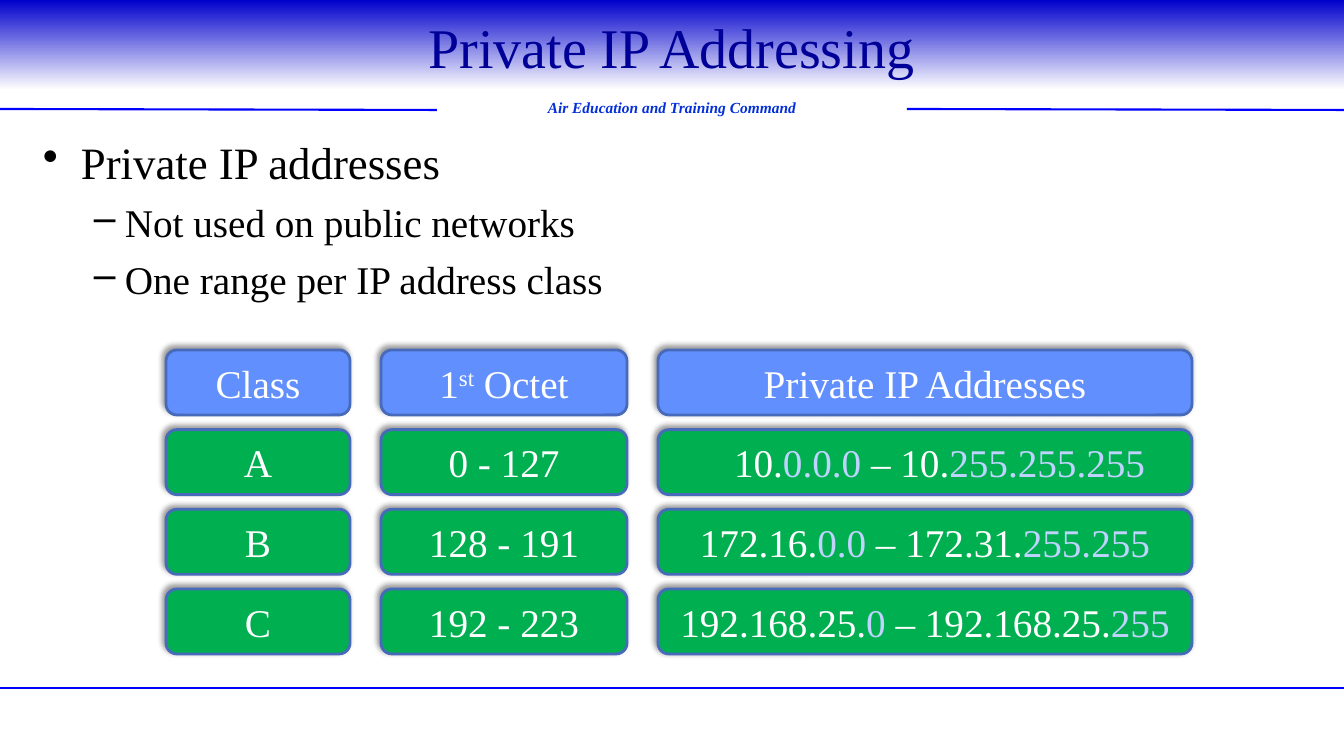
from lxml import etree
from pptx import Presentation
from pptx.dml.color import RGBColor
from pptx.enum.shapes import MSO_CONNECTOR, MSO_SHAPE
from pptx.enum.text import MSO_ANCHOR, PP_ALIGN
from pptx.oxml.ns import qn
from pptx.util import Emu, Pt

RECT, ROUND = MSO_SHAPE.RECTANGLE, MSO_SHAPE.ROUNDED_RECTANGLE
LINE, CENTER, MIDDLE = MSO_CONNECTOR.STRAIGHT, PP_ALIGN.CENTER, MSO_ANCHOR.MIDDLE
FACE = "Times New Roman"
WHITE, PALE, BLUE, GREEN = "FFFFFF", "C0D2FE", "618FFD", "00B050"

TITLE = "Private IP Addressing"
MOTTO = "Air Education and Training Command"
POINTS = [
    (0, "Private IP addresses"),
    (1, "Not used on public networks"),
    (1, "One range per IP address class"),
]
# mark, text size, left margin px, hanging indent px
LEVELS = [("•", 32, 38, 38), ("–", 28, 82, 31)]
# Every second run is raised in the head row and pale in the rows below
HEAD = [["Class"], ["1", "st", " Octet"], ["Private IP Addresses"]]
ROWS = [
    [["A"], ["0 - 127"], ["10.", "0.0.0", " – 10.", "255.255.255"]],
    [["B"], ["128 - 191"], ["172.16.", "0.0", " – 172.31.", "255.255"]],
    [["C"], ["192 - 223"], ["192.168.25.", "0", " – 192.168.25.", "255"]],
]
# x1, y1, x2, y2, width in points
RULES = [(0, 688, 1344, 688, 2), (0, 109, 437, 110, 1.5), (907, 109, 1344, 110, 1.5)]
LEFT, TOP, LAST = 166, 350, 589
WIDTHS, TALL, GAP = [184, 246, 534], 65, 31
SHIFT = 29  # extra left inset of the class A range


def px(n):
    return Emu(round(n * 914400 / 100.8))


def rgb(code):
    return RGBColor.from_string(code)


def style(para, size, color):
    para.font.name = FACE
    para.font.size = Pt(size)
    para.font.color.rgb = rgb(color)


def add_rule(x1, y1, x2, y2, width):
    rule = slide.shapes.add_connector(LINE, px(x1), px(y1), px(x2), px(y2))
    rule.line.color.rgb = rgb("0000FF")
    rule.line.width = Pt(width)
    etree.SubElement(rule._element.spPr, qn("a:effectLst"))


def add_shadow(shape):
    shape.shadow.inherit = False
    effects = shape._element.spPr.find(qn("a:effectLst"))
    outer = etree.SubElement(effects, qn("a:outerShdw"), blurRad="50800",
                             dist="38100", dir="13500000", algn="br", rotWithShape="0")
    black = etree.SubElement(outer, qn("a:srgbClr"), val="000000")
    etree.SubElement(black, qn("a:alpha"), val="40000")


def add_cell(x, y, width, runs, head):
    cell = slide.shapes.add_shape(ROUND, px(x), px(y), px(width), px(TALL))
    cell.fill.solid()
    cell.fill.fore_color.rgb = rgb(BLUE if head else GREEN)
    cell.line.color.rgb = rgb("486ABB")
    cell.line.width = Pt(2)
    add_shadow(cell)
    cell.text_frame.vertical_anchor = MIDDLE
    para = cell.text_frame.paragraphs[0]
    para.alignment = CENTER
    style(para, 28, WHITE)
    for i, text in enumerate(runs):
        run = para.add_run()
        run.text = text
        if i % 2 and head:
            run._r.get_or_add_rPr().set("baseline", "30000")
        elif i % 2:
            run.font.color.rgb = rgb(PALE)
    return cell


def add_point(frame, i, level, text):
    mark, size, left, hang = LEVELS[level]
    para = frame.add_paragraph() if i else frame.paragraphs[0]
    para.text = text
    para.level = level
    props = para._p.get_or_add_pPr()
    props.set("marL", str(px(left)))
    props.set("indent", str(px(-hang)))
    if i:
        para.space_before = Pt(7)
    etree.SubElement(props, qn("a:buChar"), char=mark)
    style(para, size, "000000")


prs = Presentation()
prs.slide_width, prs.slide_height = px(1344), px(756)
slide = prs.slides.add_slide(prs.slide_layouts[5])

title = slide.shapes.title
title.left, title.top, title.width, title.height = px(134), px(0), px(1075), px(93)
title.text = TITLE
title.text_frame.vertical_anchor = MIDDLE
title.text_frame.paragraphs[0].alignment = CENTER
style(title.text_frame.paragraphs[0], 40, "000099")

band = slide.shapes.add_shape(RECT, px(0), px(0), px(1344), px(90))
band.shadow.inherit = False
band.line.fill.background()
band.fill.gradient()
band.fill.gradient_angle = 270
for stop, color in zip(band.fill.gradient_stops, ["0000CC", WHITE]):
    stop.color.rgb = rgb(color)
title._element.addprevious(band._element)

for rule in RULES:
    add_rule(*rule)

motto = slide.shapes.add_textbox(px(437), px(93), px(470), px(29)).text_frame
motto.word_wrap = True
motto.text = MOTTO
line = motto.paragraphs[0]
line.alignment = CENTER
style(line, 11, "0330D8")
line.font.bold = line.font.italic = True

body = slide.shapes.add_textbox(px(33), px(130), px(1277), px(200)).text_frame
body.word_wrap = True
for i, (level, text) in enumerate(POINTS):
    add_point(body, i, level, text)

grid = [HEAD] + ROWS
pitch = (LAST - TOP) / (len(grid) - 1)
for r, row in enumerate(grid):
    x = LEFT
    for width, runs in zip(WIDTHS, row):
        cell = add_cell(x, TOP + r * pitch, width, runs, r == 0)
        x += width + GAP
    if r == 1:
        cell.text_frame.margin_left += px(SHIFT)

prs.save("out.pptx")
